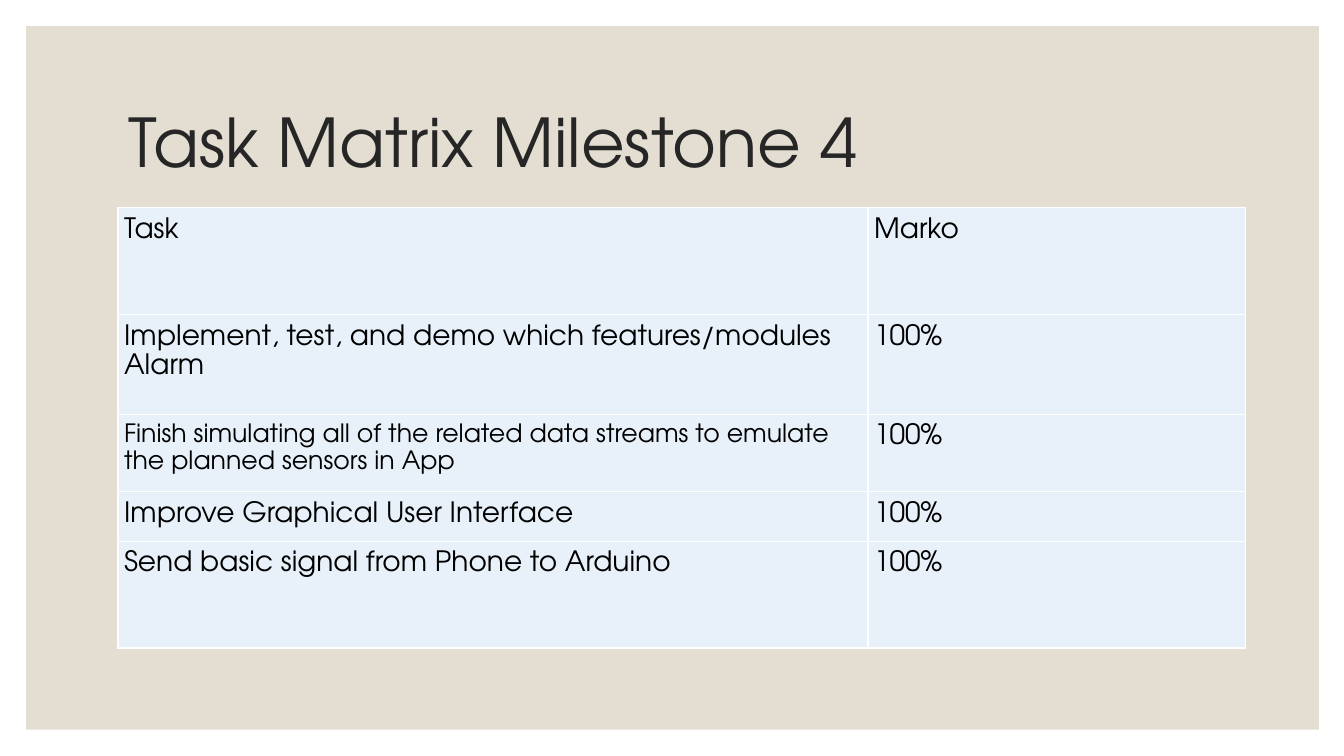
from lxml import etree
from pptx import Presentation
from pptx.dml.color import RGBColor
from pptx.enum.shapes import MSO_SHAPE
from pptx.enum.text import MSO_ANCHOR, PP_ALIGN
from pptx.oxml import parse_xml
from pptx.oxml.ns import nsdecls, qn
from pptx.util import Inches, Pt

RECTANGLE = MSO_SHAPE.RECTANGLE
TOP = MSO_ANCHOR.TOP
MIDDLE = MSO_ANCHOR.MIDDLE
LEFT = PP_ALIGN.LEFT

WIDTH, HEIGHT = 13.33, 7.5
COLUMNS, ROWS = 1333, 750
TITLE_ONLY = 5
BORDER_SIDES = ("lnL", "lnR", "lnT", "lnB")

HEADER = ("Task", "Marko")
TASKS = (
    ("Implement, test, and demo which features/modules Alarm", 20, 0.99),
    ("Finish simulating all of the related data streams to emulate the planned sensors in App", 18, 0.77),
    ("Improve Graphical User Interface", 20, 0.49),
    ("Send basic signal from Phone to Arduino", 20, 1.06),
)
DONE = "100%"


def color(hex_string):
    return RGBColor.from_string(hex_string)


class TaskSlide:
    font = "TeX Gyre Adventor"
    panel_fill = "E3DED1"
    title_color = "262626"
    text_color = "000000"
    cell_fill = "E8F1FA"
    border_color = "FFFFFF"
    cell_margin = Inches(0.06)

    def __init__(self, presentation):
        self.slide = presentation.slides.add_slide(presentation.slide_layouts[TITLE_ONLY])
        background = self.slide.background.fill
        background.solid()
        background.fore_color.rgb = color("FFFFFF")

    def area(self, column, row, columns, rows):
        return (Inches(column * WIDTH / COLUMNS), Inches(row * HEIGHT / ROWS),
                Inches(columns * WIDTH / COLUMNS), Inches(rows * HEIGHT / ROWS))

    def set_text(self, text_frame, text, size, text_color, line_spacing):
        paragraph = text_frame.paragraphs[0]
        paragraph.text = text
        paragraph.alignment = LEFT
        paragraph.line_spacing = line_spacing
        paragraph.font.name = self.font
        paragraph.font.size = Pt(size)
        paragraph.font.color.rgb = color(text_color)
        return paragraph

    def panel(self, *place):
        shape = self.slide.shapes.add_shape(RECTANGLE, *self.area(*place))
        shape.shadow.inherit = False
        shape.fill.solid()
        shape.fill.fore_color.rgb = color(self.panel_fill)
        shape.line.fill.background()
        self.slide.shapes.title._element.addprevious(shape._element)

    def title(self, text, *place):
        shape = self.slide.shapes.title
        shape.left, shape.top, shape.width, shape.height = self.area(*place)
        shape.text_frame.word_wrap = True
        shape.text_frame.vertical_anchor = MIDDLE
        self.set_text(shape.text_frame, text, 48, self.title_color, 0.9)

    def borders(self, cell):
        properties = cell._tc.get_or_add_tcPr()
        for index, side in enumerate(BORDER_SIDES):
            line = parse_xml(f'<a:{side} {nsdecls("a")} w="{Pt(1)}"/>')
            fill = etree.SubElement(line, qn("a:solidFill"))
            etree.SubElement(fill, qn("a:srgbClr"), val=self.border_color)
            properties.insert(index, line)

    def cell(self, cell, text, size):
        cell.margin_left = cell.margin_right = self.cell_margin
        cell.margin_top = cell.margin_bottom = self.cell_margin
        cell.vertical_anchor = TOP
        cell.fill.solid()
        cell.fill.fore_color.rgb = color(self.cell_fill)
        self.borders(cell)
        return self.set_text(cell.text_frame, text, size, self.text_color, 1.15)

    def task_table(self, column_widths, header_height, *place):
        frame = self.slide.shapes.add_table(len(TASKS) + 1, len(HEADER), *self.area(*place))
        table = frame.table
        for column, width in zip(table.columns, column_widths):
            column.width = Inches(width)
        table.rows[0].height = Inches(header_height)
        for index, label in enumerate(HEADER):
            self.cell(table.cell(0, index), label, 20)
        for index, (task, size, height) in enumerate(TASKS, start=1):
            table.rows[index].height = Inches(height)
            paragraph = self.cell(table.cell(index, 0), task, size)
            paragraph.space_after = Pt(12)
            self.cell(table.cell(index, 1), DONE, 20)


def main():
    presentation = Presentation()
    presentation.slide_width = Inches(WIDTH)
    presentation.slide_height = Inches(HEIGHT)
    task_slide = TaskSlide(presentation)
    task_slide.panel(26, 26, 1282, 698)
    task_slide.title("Task Matrix Milestone 4", 117, 70, 1100, 150)
    task_slide.task_table((7.44, 3.74), 1.06, 117, 206, 1118, 437)
    presentation.save("out.pptx")


if __name__ == "__main__":
    main()
